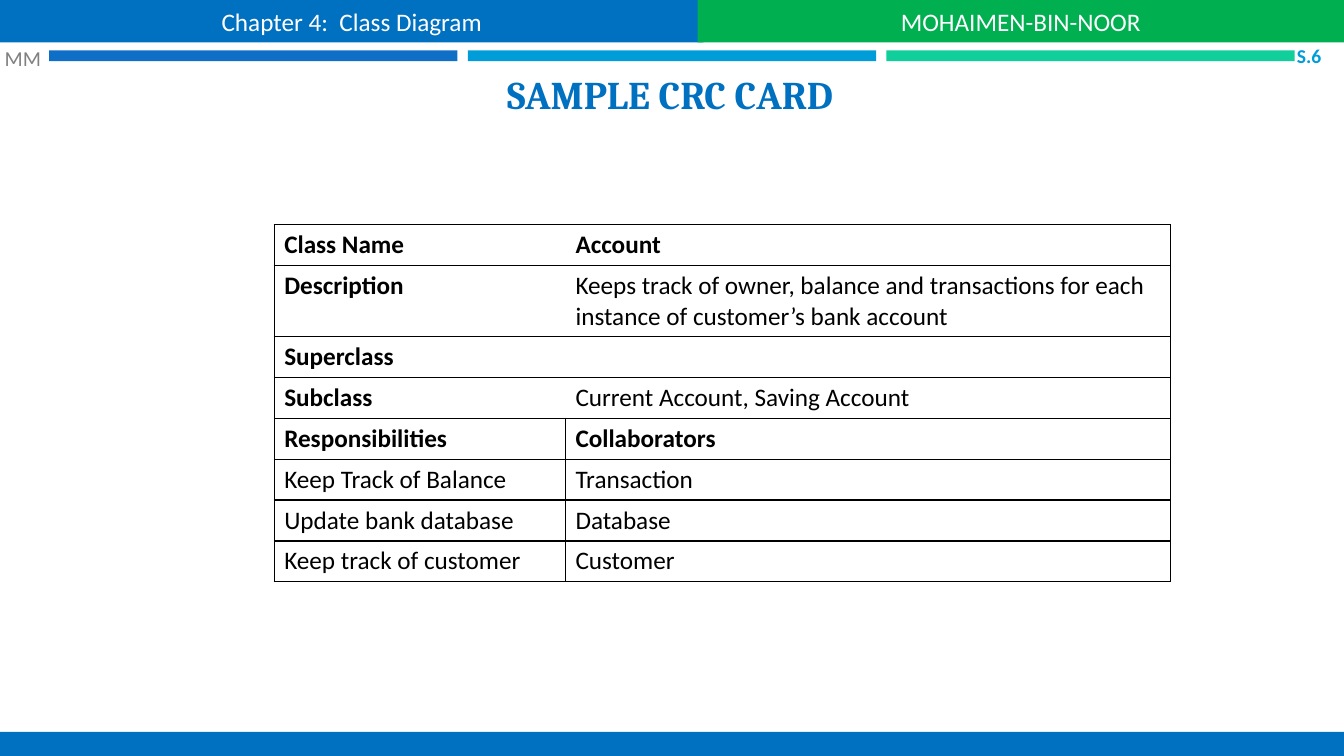
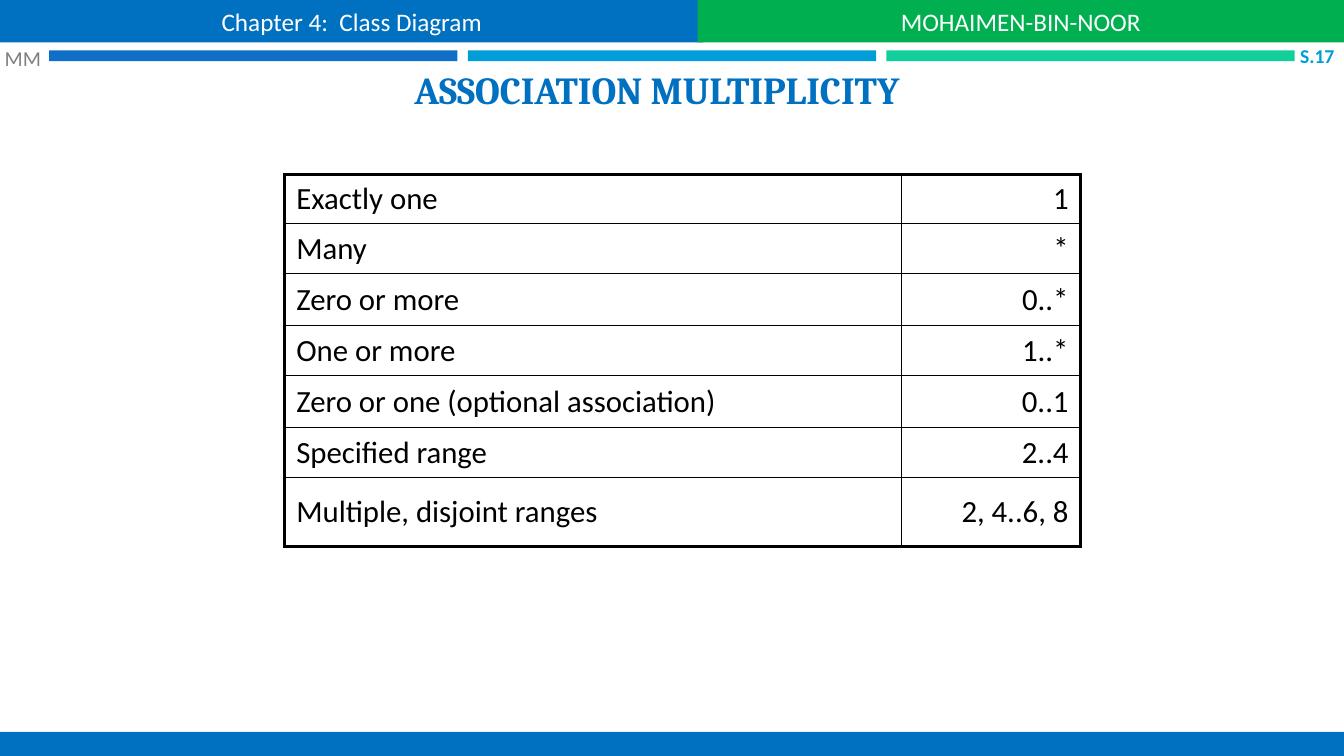
from lxml import etree
from pptx import Presentation
from pptx.dml.color import RGBColor
from pptx.enum.shapes import MSO_SHAPE
from pptx.enum.text import MSO_ANCHOR, PP_ALIGN
from pptx.oxml.ns import qn
from pptx.util import Cm, Pt

RECT = MSO_SHAPE.RECTANGLE
LEFT, CENTER, RIGHT = PP_ALIGN.LEFT, PP_ALIGN.CENTER, PP_ALIGN.RIGHT
TOP, MIDDLE, BOTTOM = MSO_ANCHOR.TOP, MSO_ANCHOR.MIDDLE, MSO_ANCHOR.BOTTOM

COLORS = {
    "blue": "0070C0", "green": "00B050", "white": "FFFFFF", "black": "000000",
    "grey": "808080", "navy": "0F6FC6", "sky": "009DD9", "mint": "10CF9B",
}
WIDTH, HEIGHT = 33.87, 19.05
HEADER_H, CHAPTER_W, AUTHOR_X = 1.07, 17.73, 17.58
FOOTER_H = 0.61
BAND_X, BAND_Y, BAND_W, BAND_H, BAND_STEP = 1.24, 1.27, 10.29, 0.27, 10.55
PAGE_Y, PAGE_W, PAGE_H = 1.1, 1.2, 0.6
THIN, THICK = 1, 2.25

FORMATS = {
    "title": {"name": "Cambria", "size": Pt(28), "bold": True, "color": "blue"},
    "header": {"name": "Calibri", "size": Pt(18), "color": "white"},
    "mark": {"name": "Calibri", "size": Pt(15.2), "color": "grey"},
    "page": {"name": "Calibri", "size": Pt(14), "bold": True, "color": "sky"},
    "card": {"name": "Calibri", "size": Pt(18), "color": "black"},
    "card label": {"name": "Calibri", "size": Pt(18), "bold": True, "color": "black"},
    "range": {"name": "Calibri", "size": Pt(22), "color": "black"},
}

CARD_ROWS = [
    ("Class Name", "Account"),
    ("Description", "Keeps track of owner, balance and transactions for each "
                    "instance of customer’s bank account"),
    ("Superclass", ""),
    ("Subclass", "Current Account, Saving Account"),
    ("Responsibilities", "Collaborators"),
    ("Keep Track of Balance", "Transaction"),
    ("Update bank database", "Database"),
    ("Keep track of customer", "Customer"),
]
CARD_LABELS = {(0, 0), (0, 1), (1, 0), (2, 0), (3, 0), (4, 0), (4, 1)}
CARD_SPLIT_ROW = 4
MULTIPLICITIES = [
    ("Exactly one", "1"),
    ("Many", "*"),
    ("Zero or more", "0..*"),
    ("One or more", "1..*"),
    ("Zero or one (optional association)", "0..1"),
    ("Specified range", "2..4"),
    ("Multiple, disjoint ranges", "2, 4..6, 8"),
]


def rgb(name):
    return RGBColor.from_string(COLORS[name])


def write(tf, text, style, align=LEFT, **changes):
    p = tf.paragraphs[0]
    p.alignment = align
    r = p.add_run()
    r.text = text
    for key, value in {**FORMATS[style], **changes}.items():
        if key == "color":
            r.font.color.rgb = rgb(value)
        else:
            setattr(r.font, key, value)


def add_text(s, box, text, style, align, anchor=MIDDLE, **changes):
    tf = s.shapes.add_textbox(*map(Cm, box)).text_frame
    tf.word_wrap = True
    tf.vertical_anchor = anchor
    tf.margin_left = tf.margin_right = tf.margin_top = tf.margin_bottom = 0
    write(tf, text, style, align, **changes)


def add_bar(s, box, color, text=""):
    sp = s.shapes.add_shape(RECT, *map(Cm, box))
    sp.shadow.inherit = False
    sp.fill.solid()
    sp.fill.fore_color.rgb = rgb(color)
    sp.line.fill.background()
    if text:
        sp.text_frame.vertical_anchor = MIDDLE
        write(sp.text_frame, text, "header", CENTER)


def add_frame(s, page, page_right):
    """Draw the bands, marks, header and footer that every slide carries."""
    for i, color in enumerate(("navy", "sky", "mint")):
        add_bar(s, (BAND_X + i * BAND_STEP, BAND_Y, BAND_W, BAND_H), color)
    add_bar(s, (0, HEIGHT - FOOTER_H, WIDTH, FOOTER_H), "blue")
    add_bar(s, (0, 0, CHAPTER_W, HEADER_H), "blue", "Chapter 4:  Class Diagram")
    add_bar(s, (AUTHOR_X, 0, WIDTH - AUTHOR_X, HEADER_H), "green",
            "MOHAIMEN-BIN-NOOR")
    add_text(s, (0.12, 1.12, 1.1, 0.68), "MM", "mark", LEFT)
    add_text(s, (page_right - PAGE_W, PAGE_Y, PAGE_W, PAGE_H), page, "page", RIGHT)


def set_borders(cell, widths):
    """Set left, right, top and bottom lines; a width of 0 hides the line."""
    tc_pr = cell._tc.get_or_add_tcPr()
    for i, (side, width) in enumerate(zip("LRTB", widths)):
        ln = etree.Element(qn(f"a:ln{side}"), w=str(int(Pt(width))))
        if width:
            fill = etree.SubElement(ln, qn("a:solidFill"))
            etree.SubElement(fill, qn("a:srgbClr"), val=COLORS["black"])
        else:
            etree.SubElement(ln, qn("a:noFill"))
        tc_pr.insert(i, ln)


def add_grid(s, left, top, col_widths, row_heights):
    """Add an unstyled table and return it."""
    table = s.shapes.add_table(len(row_heights), len(col_widths), Cm(left), Cm(top),
                               Cm(sum(col_widths)), Cm(sum(row_heights))).table
    table.first_row = table.horz_banding = False
    for col, width in zip(table.columns, col_widths):
        col.width = Cm(width)
    for row, height in zip(table.rows, row_heights):
        row.height = Cm(height)
    for cell in table.iter_cells():
        cell.fill.background()
    return table


def add_crc_card(s, left, top):
    heights = [1.79 if i == 1 else 1.03 for i in range(len(CARD_ROWS))]
    table = add_grid(s, left, top, (7.34, 15.24), heights)
    for i, row in enumerate(CARD_ROWS):
        divider = THIN if i >= CARD_SPLIT_ROW else 0
        for j, text in enumerate(row):
            cell = table.cell(i, j)
            cell.vertical_anchor = TOP
            if text:
                write(cell.text_frame, text,
                      "card label" if (i, j) in CARD_LABELS else "card")
            sides = (divider, THIN) if j else (THIN, divider)
            set_borders(cell, (*sides, THIN, THIN))


def add_multiplicities(s, left, top):
    table = add_grid(s, left, top, (15.54, 4.52),
                     (1.25, 1.25, 1.32, 1.25, 1.32, 1.25, 1.75))
    last = len(MULTIPLICITIES) - 1
    for i, row in enumerate(MULTIPLICITIES):
        for j, text in enumerate(row):
            cell = table.cell(i, j)
            cell.vertical_anchor = MIDDLE
            cell.margin_left = cell.margin_right = Cm(0.3)
            cell.margin_top = cell.margin_bottom = Cm(0.15)
            write(cell.text_frame, text, "range", RIGHT if j else LEFT)
            sides = (THIN, THICK) if j else (THICK, THIN)
            set_borders(cell, (*sides, THICK if i == 0 else THIN,
                               THICK if i == last else THIN))


def crc_slide(s):
    add_frame(s, "S.6", 33.3)
    add_text(s, (1.57, 1.6, 30.63, 1.37), "SAMPLE CRC CARD", "title", CENTER, BOTTOM)
    add_crc_card(s, 6.91, 5.66)


def multiplicity_slide(s):
    add_frame(s, "S.17", 33.63)
    add_text(s, (1.24, 1.55, 30.63, 1.27), "ASSOCIATION MULTIPLICITY", "title",
             CENTER, BOTTOM, size=Pt(27.3))
    add_multiplicities(s, 7.17, 4.39)


def main():
    prs = Presentation()
    prs.slide_width, prs.slide_height = Cm(WIDTH), Cm(HEIGHT)
    for build in (crc_slide, multiplicity_slide):
        build(prs.slides.add_slide(prs.slide_layouts[6]))
    prs.save("out.pptx")


if __name__ == "__main__":
    main()
